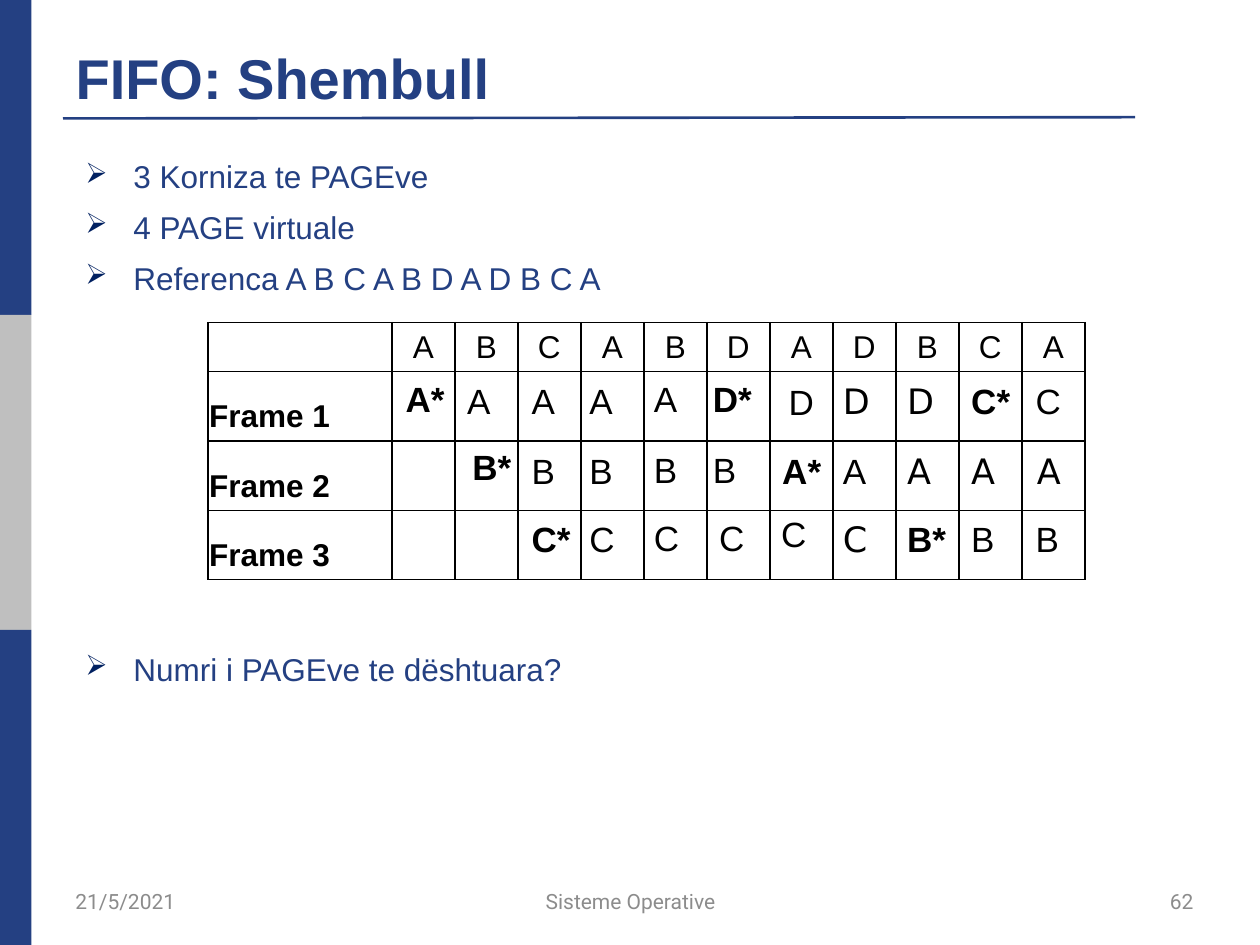
from dataclasses import dataclass

from pptx import Presentation
from pptx.dml.color import RGBColor
from pptx.enum.shapes import MSO_CONNECTOR, MSO_SHAPE
from pptx.enum.text import MSO_ANCHOR, PP_ALIGN
from pptx.oxml.ns import qn
from pptx.util import Inches, Pt
from lxml import etree

RECT = MSO_SHAPE.RECTANGLE
LINE = MSO_CONNECTOR.STRAIGHT
TOP, MIDDLE, BOTTOM = MSO_ANCHOR.TOP, MSO_ANCHOR.MIDDLE, MSO_ANCHOR.BOTTOM
LEFT, CENTER, RIGHT = PP_ALIGN.LEFT, PP_ALIGN.CENTER, PP_ALIGN.RIGHT


@dataclass(frozen=True)
class Theme:
    blue: str = "244082"
    navy: str = "002060"
    gray: str = "BFBFBF"
    muted: str = "8C8C8C"
    black: str = "000000"
    white: str = "FFFFFF"
    main: str = "Arial"
    alt: str = "DejaVu Sans"
    small: str = "Roboto"
    head: int = 32
    body: int = 18
    mark: int = 20
    foot: int = 12


def add_node(parent, tag, **attrs):
    return etree.SubElement(parent, qn(tag), attrs)


def add_color(parent, color):
    add_node(parent, "a:srgbClr", val=color)


class Deck:
    def __init__(self, theme):
        self.theme = theme
        self.file = Presentation()
        self.file.slide_width = Inches(10)
        self.file.slide_height = Inches(7.5)
        self.slide = self.file.slides.add_slide(self.file.slide_layouts[5])
        self.shapes = self.slide.shapes

    def style(self, para, size, color, face=None, bold=False, align=LEFT):
        font = para.font
        font.name = face or self.theme.main
        font.size = Pt(size)
        font.bold = bold
        font.color.rgb = RGBColor.from_string(color)
        para.alignment = align

    def title(self, text, box):
        shape = self.shapes.title
        shape.left, shape.top, shape.width, shape.height = map(Inches, box)
        frame = shape.text_frame
        frame.text = text
        frame.vertical_anchor = BOTTOM
        self.style(frame.paragraphs[0], self.theme.head, self.theme.blue, bold=True)

    def bar(self, box, color):
        shape = self.shapes.add_shape(RECT, *map(Inches, box))
        shape.shadow.inherit = False
        shape.fill.solid()
        shape.fill.fore_color.rgb = RGBColor.from_string(color)
        shape.line.fill.background()

    def rule(self, ends, color, width):
        line = self.shapes.add_connector(LINE, *map(Inches, ends))
        line.line.color.rgb = RGBColor.from_string(color)
        line.line.width = Pt(width)
        add_node(line._element.spPr, "a:effectLst")

    def frame(self, box, anchor=TOP):
        frame = self.shapes.add_textbox(*map(Inches, box)).text_frame
        frame.word_wrap = True
        frame.vertical_anchor = anchor
        return frame

    def label(self, text, box, size, color, face, bold=False, align=LEFT, anchor=TOP):
        frame = self.frame(box, anchor)
        if align == LEFT:
            frame.margin_right = 0
        frame.text = text
        self.style(frame.paragraphs[0], size, color, face, bold, align)

    def bullets(self, items, box):
        frame = self.frame(box)
        frame.text = "\n".join(text for text, gap in items)
        for para, (text, gap) in zip(frame.paragraphs, items):
            self.style(para, self.theme.body, self.theme.blue)
            para.space_before = Pt(gap)
            props = para._p.get_or_add_pPr()
            props.set("marL", str(Inches(0.38)))
            props.set("indent", str(-Inches(0.38)))
            add_color(add_node(props, "a:buClr"), self.theme.navy)
            add_node(props, "a:buSzPct", val="90000")
            add_node(props, "a:buChar", char="➢")

    def cell(self, cell, text, bold, align):
        cell.margin_left = cell.margin_right = cell.margin_top = Inches(0.01)
        cell.margin_bottom = Inches(0.05)
        cell.vertical_anchor = BOTTOM
        cell.text = text
        self.style(cell.text_frame.paragraphs[0], self.theme.body, self.theme.black,
                   bold=bold, align=align)
        props = cell._tc.get_or_add_tcPr()
        for side in ("a:lnL", "a:lnR", "a:lnT", "a:lnB"):
            edge = add_node(props, side, w=str(Pt(1)))
            add_color(add_node(edge, "a:solidFill"), self.theme.black)
        cell.fill.solid()
        cell.fill.fore_color.rgb = RGBColor.from_string(self.theme.white)

    def table(self, rows, box, wides, highs):
        table = self.shapes.add_table(len(rows), len(wides), *map(Inches, box)).table
        table.first_row = table.horz_banding = False
        for col, wide in zip(table.columns, wides):
            col.width = Inches(wide)
        for row, high, texts in zip(table.rows, highs, rows):
            row.height = Inches(high)
            for i, (cell, text) in enumerate(zip(row.cells, texts)):
                self.cell(cell, text, i == 0, CENTER if i else LEFT)


PAGES = "ABCABDADBCA"
FRAMES = [
    "A* A A A A D* D D D C* C",
    "- B* B B B B A* A A A A",
    "- - C* C C C C C B* B B",
]
LEFTS = [3.12, 3.61, 4.12, 4.58, 5.09, 5.56, 6.1, 6.59, 7.1, 7.61, 8.12]
TOPS = [2.96, 3.52, 4.06]
SHIFTS = {
    (0, 0): (0, -0.01), (0, 4): (0, -0.01), (0, 5): (0, -0.01), (0, 6): (0.06, 0.01),
    (1, 1): (0.04, -0.03), (1, 4): (0, -0.01), (1, 5): (0, -0.01), (1, 6): (0.01, 0),
    (1, 10): (0.01, 0),
    (2, 4): (0, -0.01), (2, 5): (0.05, -0.01), (2, 6): (0, -0.04),
}
ALTS = {(0, 7), (0, 8), (1, 8), (1, 9), (1, 10), (2, 7)}


def main():
    theme = Theme()
    deck = Deck(theme)
    for i, color in enumerate((theme.blue, theme.gray, theme.blue)):
        deck.bar((0, 2.5 * i, 0.25, 2.5), color)
    deck.rule((0.5, 0.94, 9.01, 0.93), theme.blue, 1.5)
    deck.title("FIFO: Shembull", (0.5, 0.3, 8.51, 0.63))
    deck.bullets([
        ("3 Korniza te PAGEve", 0),
        ("4 PAGE virtuale", 7.3),
        ("Referenca A B C A B D A D B C A", 7.3),
        ("Numri i PAGEve te dështuara?", 202),
    ], (0.58, 1.2, 8.51, 5.46))
    for text, left, width, align in (
        ("21/5/2021", 0.5, 2.03, LEFT),
        ("Sisteme Operative", 3.02, 3.97, CENTER),
        ("62", 7.01, 2.56, RIGHT),
    ):
        deck.label(text, (left, 6.95, width, 0.4), theme.foot, theme.muted,
                   theme.small, align=align, anchor=MIDDLE)

    blank = [""] * len(PAGES)
    rows = [["", *PAGES]] + [[f"Frame {i}", *blank] for i in (1, 2, 3)]
    deck.table(rows, (1.65, 2.56, 6.97, 2.05), [1.46] + [0.5] * len(PAGES),
               [0.39] + [0.55] * 3)
    for i, (top, marks) in enumerate(zip(TOPS, FRAMES)):
        for j, (left, mark) in enumerate(zip(LEFTS, marks.split())):
            if mark == "-":
                continue
            right, down = SHIFTS.get((i, j), (0, 0))
            face = theme.alt if (i, j) in ALTS else theme.main
            deck.label(mark, (left + right, top + down, 0.51, 0.44), theme.mark,
                       theme.black, face, bold="*" in mark)
    deck.file.save("out.pptx")


if __name__ == "__main__":
    main()
